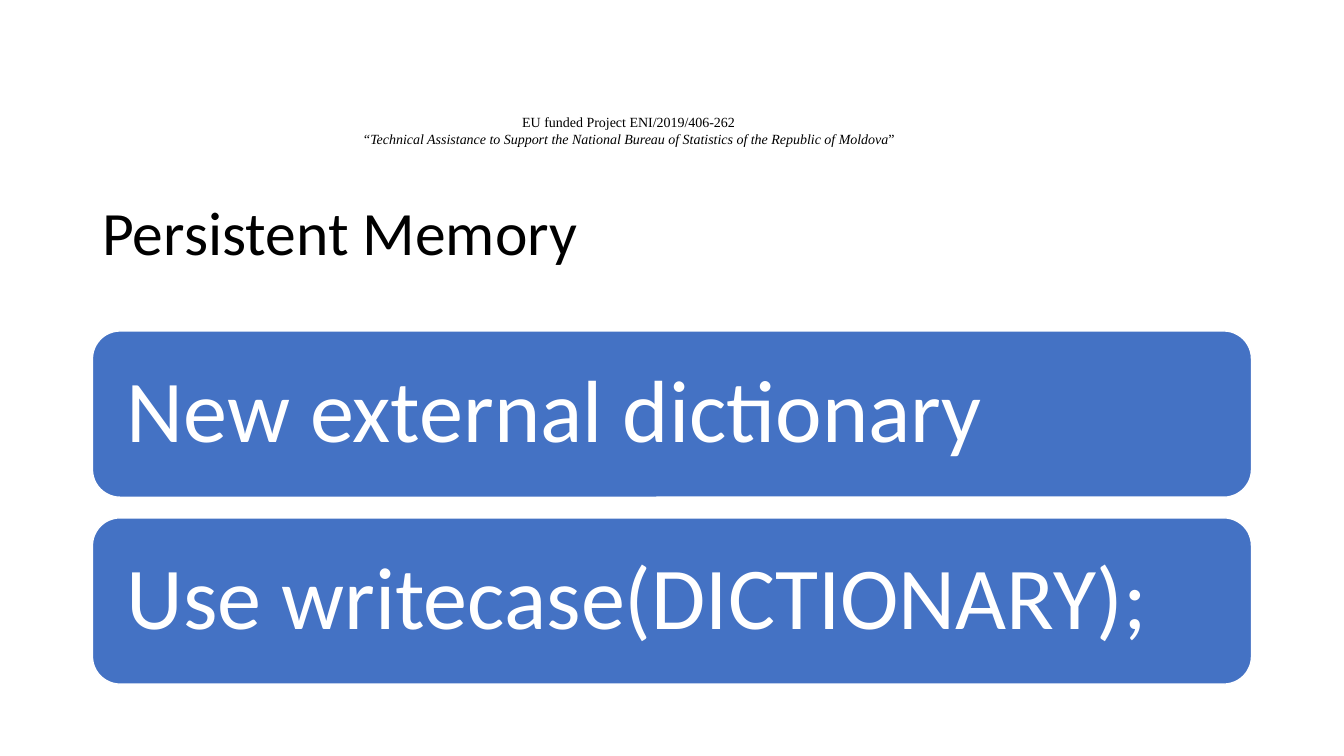
from dataclasses import dataclass

from pptx import Presentation
from pptx.dml.color import RGBColor as RGB
from pptx.enum.shapes import MSO_SHAPE as Kind
from pptx.enum.text import MSO_ANCHOR as Anchor, PP_ALIGN as Align
from pptx.util import Cm, Pt


@dataclass
class Theme:
    ink: RGB = RGB(0, 0, 0)
    blue: RGB = RGB(0x44, 0x72, 0xC4)
    white: RGB = RGB(255, 255, 255)
    sans: str = "Calibri"
    serif: str = "Times New Roman"
    small: int = 10
    title: int = 44
    big: int = 63


theme = Theme()


def add_run(para, text, face, size, color, slant=False):
    run = para.add_run()
    run.text = text
    font = run.font
    font.name, font.size, font.italic = face, Pt(size), slant
    font.color.rgb = color


deck = Presentation()
deck.slide_width, deck.slide_height = Cm(33.87), Cm(19.05)
slide = deck.slides.add_slide(deck.slide_layouts[6])
shapes = slide.shapes

# Project header: lines of (text, italic) runs
header = [
    [("EU funded Project ENI/2019/406-262", False)],
    [("“Technical Assistance to Support the National Bureau of Statistics"
      " of the Republic of Moldova", True), ("”", False)],
]
frame = shapes.add_textbox(Cm(7.37), Cm(2.74), Cm(16.94), Cm(1.12)).text_frame
frame.word_wrap = True
for i, line in enumerate(header):
    para = frame.add_paragraph() if i else frame.paragraphs[0]
    para.alignment = Align.CENTER
    for text, slant in line:
        add_run(para, text, theme.serif, theme.small, theme.ink, slant)

# Title
left, width = Cm(2.33), Cm(29.21)
frame = shapes.add_textbox(left, Cm(4.09), width, Cm(3.68)).text_frame
frame.word_wrap = True
frame.vertical_anchor = Anchor.MIDDLE
para = frame.paragraphs[0]
para.line_spacing = 0.9
add_run(para, "Persistent Memory", theme.sans, theme.title, theme.ink)

# Stacked bars
top, high, step, pad = Cm(8.34), Cm(4.19), Cm(4.71), Cm(0.66)
for i, text in enumerate(["New external dictionary", "Use writecase(DICTIONARY);"]):
    bar = shapes.add_shape(Kind.ROUNDED_RECTANGLE, left, top + i * step, width, high)
    bar.shadow.inherit = False
    bar.fill.solid()
    bar.fill.fore_color.rgb = theme.blue
    bar.line.color.rgb = theme.white
    bar.line.width = Pt(1)
    frame = bar.text_frame
    frame.word_wrap = True
    frame.vertical_anchor = Anchor.MIDDLE
    frame.margin_left = frame.margin_right = pad
    frame.margin_top = frame.margin_bottom = pad
    para = frame.paragraphs[0]
    para.alignment = Align.LEFT
    para.line_spacing = 0.9
    add_run(para, text, theme.sans, theme.big, theme.white)

deck.save("out.pptx")
